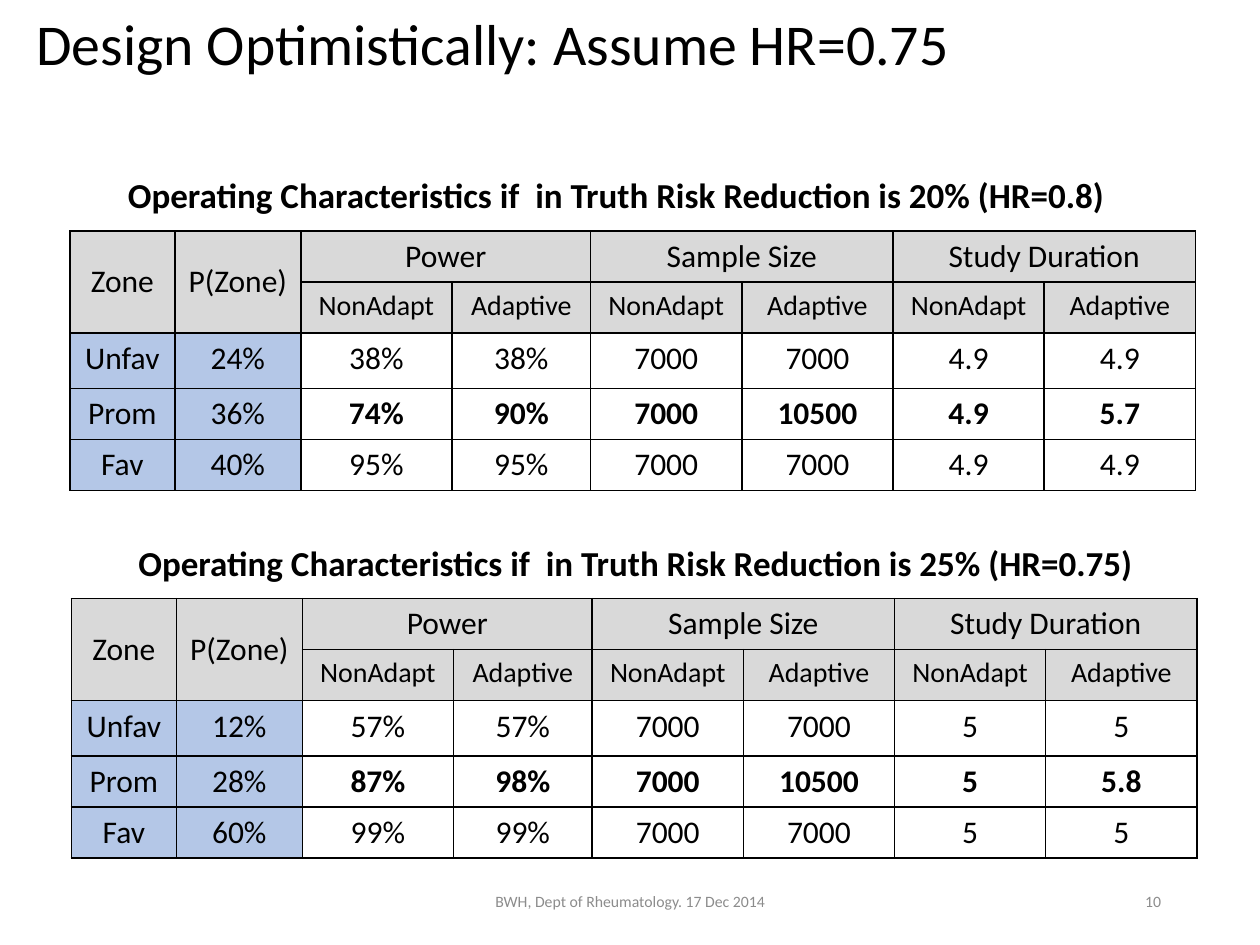
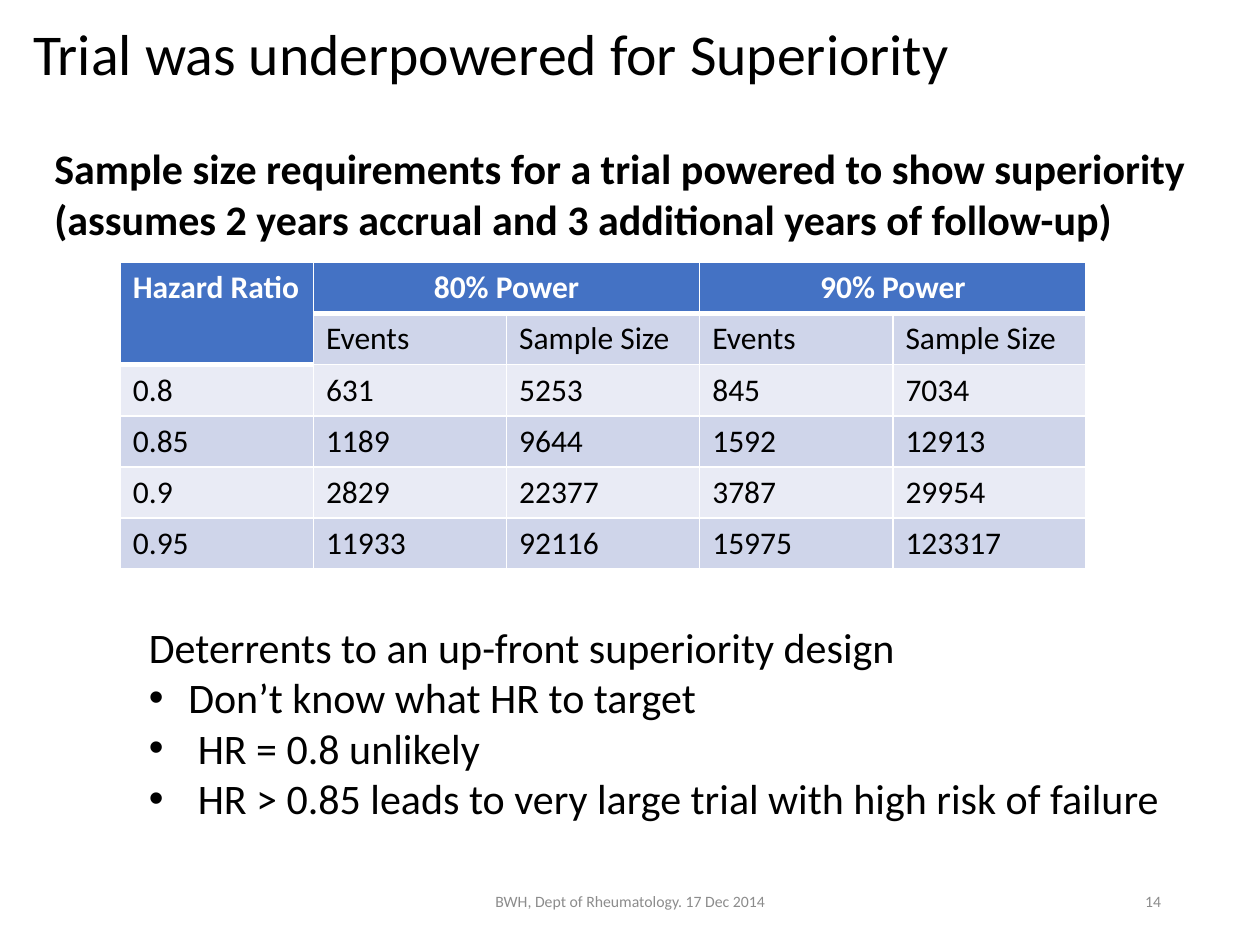
from dataclasses import dataclass

from lxml.etree import SubElement
from pptx import Presentation
from pptx.dml.color import RGBColor
from pptx.enum.text import MSO_ANCHOR, PP_ALIGN
from pptx.oxml.ns import qn
from pptx.util import Pt

FONT = "Calibri"
BLACK, WHITE, FOOTER_GRAY = "000000", "FFFFFF", "8C8C8C"
HEADER_GRAY, ZONE_BLUE = "D9D9D9", "B4C7E7"
HEADER_BLUE, BAND_DARK, BAND_LIGHT = "4472C4", "CFD5EA", "E9EBF5"
FOOTER = "BWH, Dept of Rheumatology. 17 Dec 2014"

ZONE_WIDTHS = [60, 72, 86.4, 79.2] + [86.4] * 4
ZONE_HEIGHTS = [29.2, 29.2, 31.6, 29.2, 29.2]
ZONE_HEADER = [
    ["Zone", "P(Zone)", "Power", "", "Sample Size", "", "Study Duration", ""],
    ["", ""] + ["NonAdapt", "Adaptive"] * 3,
]
ZONE_MERGES = [(0, 0, 1, 0), (0, 1, 1, 1)] + [(0, column, 0, column + 1) for column in (2, 4, 6)]

POWER_ROWS = [
    ["Hazard Ratio", "80% Power", "", "90% Power", ""],
    [""] + ["Events", "Sample Size"] * 2,
    ["0.8", "631", "5253", "845", "7034"],
    ["0.85", "1189", "9644", "1592", "12913"],
    ["0.9", "2829", "22377", "3787", "29954"],
    ["0.95", "11933", "92116", "15975", "123317"],
]
POWER_MERGES = [(0, 0, 1, 0), (0, 1, 0, 2), (0, 3, 0, 4)]


def rgb(value):
    return RGBColor.from_string(value)


@dataclass
class CellStyle:
    fill: str | None = None
    color: str = BLACK
    size: float = 18
    bold: bool = False
    align: PP_ALIGN = PP_ALIGN.LEFT
    anchor: MSO_ANCHOR = MSO_ANCHOR.TOP
    border: str = BLACK
    top: float = 1
    bottom: float = 1


def zone_style(row, column):
    """Gray header, blue zone columns, bold results in the promising zone."""
    if row < 2:
        fill = HEADER_GRAY
    else:
        fill = ZONE_BLUE if column < 2 else None
    return CellStyle(
        fill=fill,
        size=16 if row == 1 else 18,
        bold=row == 3 and column > 1,
        align=PP_ALIGN.CENTER,
        anchor=MSO_ANCHOR.MIDDLE if row == 0 and column < 2 else MSO_ANCHOR.TOP,
    )


def power_style(row, column):
    """Blue header with a thick lower rule, then alternating bands."""
    last_header_row = 1 if column == 0 else 0
    header = row <= last_header_row
    band = BAND_DARK if row % 2 else BAND_LIGHT
    return CellStyle(
        fill=HEADER_BLUE if header else band,
        color=WHITE if header else BLACK,
        bold=header,
        align=PP_ALIGN.CENTER if row == 0 and column else PP_ALIGN.LEFT,
        border=WHITE,
        top=3 if row == last_header_row + 1 else 1,
        bottom=3 if header else 1,
    )


class Deck:
    def __init__(self):
        self.presentation = Presentation()
        self.presentation.slide_width = Pt(720)
        self.presentation.slide_height = Pt(540)
        self.slide = None

    def add_slide(self, title, title_box, number):
        self.slide = self.presentation.slides.add_slide(self.presentation.slide_layouts[6])
        title_frame = self.add_text(title_box, [title], 33, anchor=MSO_ANCHOR.MIDDLE)
        title_frame.paragraphs[0].line_spacing = 0.9
        for box, text, align in (
            ((238.5, 500.5, 243, 28.8), FOOTER, PP_ALIGN.CENTER),
            ((508.5, 500.5, 162, 28.8), number, PP_ALIGN.RIGHT),
        ):
            self.add_text(box, [text], 9, FOOTER_GRAY, align=align, anchor=MSO_ANCHOR.MIDDLE)

    def format_paragraph(self, paragraph, size, color, bold, align):
        paragraph.alignment = align
        for run in paragraph.runs:
            run.font.name = FONT
            run.font.size = Pt(size)
            run.font.bold = bold
            run.font.color.rgb = rgb(color)

    def add_text(self, box, lines, size, color=BLACK, bold=False, align=PP_ALIGN.LEFT,
                 anchor=MSO_ANCHOR.TOP, wrap=True):
        text_frame = self.slide.shapes.add_textbox(*map(Pt, box)).text_frame
        text_frame.word_wrap = wrap
        text_frame.vertical_anchor = anchor
        text_frame.text = "\n".join(lines)
        for paragraph in text_frame.paragraphs:
            self.format_paragraph(paragraph, size, color, bold, align)
        return text_frame

    def add_bullet(self, paragraph, indent):
        properties = paragraph._p.get_or_add_pPr()
        properties.set("marL", str(Pt(indent)))
        properties.set("indent", str(-Pt(indent)))
        SubElement(properties, qn("a:buFont"), typeface="Arial")
        SubElement(properties, qn("a:buChar"), char="•")

    def add_borders(self, cell, style):
        properties = cell._tc.get_or_add_tcPr()
        for side, width in (("L", 1), ("R", 1), ("T", style.top), ("B", style.bottom)):
            line = SubElement(properties, qn(f"a:ln{side}"), w=str(Pt(width)))
            fill = SubElement(line, qn("a:solidFill"))
            SubElement(fill, qn("a:srgbClr"), val=style.border)

    def format_cell(self, cell, text, style):
        cell.text_frame.text = text
        cell.vertical_anchor = style.anchor
        self.format_paragraph(cell.text_frame.paragraphs[0], style.size, style.color,
                              style.bold, style.align)
        self.add_borders(cell, style)
        if style.fill:
            cell.fill.solid()
            cell.fill.fore_color.rgb = rgb(style.fill)
        else:
            cell.fill.background()

    def add_table(self, left, top, widths, heights, rows, merges, style_for):
        """Merges hold first row, first column, last row, last column."""
        table = self.slide.shapes.add_table(
            len(rows), len(widths), Pt(left), Pt(top), Pt(sum(widths)), Pt(sum(heights))
        ).table
        table.first_row = table.horz_banding = False
        for column, width in zip(table.columns, widths):
            column.width = Pt(width)
        for row, height in zip(table.rows, heights):
            row.height = Pt(height)
        for row, texts in enumerate(rows):
            for column, text in enumerate(texts):
                self.format_cell(table.cell(row, column), text, style_for(row, column))
        for first_row, first_column, last_row, last_column in merges:
            origin = table.cell(first_row, first_column)
            origin.merge(table.cell(last_row, last_column))
            if last_row > first_row:
                bottom = style_for(last_row, last_column).bottom
                origin._tc.tcPr.find(qn("a:lnB")).set("w", str(Pt(bottom)))

    def add_zone_table(self, left, top, results):
        self.add_table(left, top, ZONE_WIDTHS, ZONE_HEIGHTS, ZONE_HEADER + results,
                       ZONE_MERGES, zone_style)


def build_operating_characteristics(deck):
    deck.add_slide("Design Optimistically: Assume HR=0.75", (13.7, 0, 604, 53.3), "10")
    heading = "Operating Characteristics if  in Truth Risk Reduction is "
    deck.add_text((66, 95.8, 577.5, 31.5), [heading + "20% (HR=0.8)"], 20, bold=True, wrap=False)
    deck.add_zone_table(39.9, 132, [
        ["Unfav", "24%", "38%", "38%", "7000", "7000", "4.9", "4.9"],
        ["Prom", "36%", "74%", "90%", "7000", "10500", "4.9", "5.7"],
        ["Fav", "40%", "95%", "95%", "7000", "7000", "4.9", "4.9"],
    ])
    deck.add_text((72, 306, 648, 31.5), [heading + "25% (HR=0.75)"], 20, bold=True)
    deck.add_zone_table(40.8, 342, [
        ["Unfav", "12%", "57%", "57%", "7000", "7000", "5", "5"],
        ["Prom", "28%", "87%", "98%", "7000", "10500", "5", "5.8"],
        ["Fav", "60%", "99%", "99%", "7000", "7000", "5", "5"],
    ])


def build_superiority(deck):
    deck.add_slide("Trial was underpowered for Superiority", (12, 6, 584, 53.3), "14")
    deck.add_table(68.7, 150, [110.4] * 5, [29.2] * 6, POWER_ROWS, POWER_MERGES, power_style)
    deterrents = deck.add_text((78, 351.5, 597, 147.6), [
        "Deterrents to an up-front superiority design",
        "Don’t know what HR to target",
        " HR = 0.8 unlikely",
        " HR > 0.85 leads to very large trial with high risk of failure",
    ], 24, wrap=False)
    for paragraph in deterrents.paragraphs[1:]:
        deck.add_bullet(paragraph, 22.5)
    deck.add_text((24, 78, 666, 65.5), [
        "Sample size requirements for a trial powered to show superiority",
        "(assumes 2 years accrual and 3 additional years of follow-up)",
    ], 24, bold=True)


def main():
    deck = Deck()
    build_operating_characteristics(deck)
    build_superiority(deck)
    deck.presentation.save("out.pptx")


if __name__ == "__main__":
    main()
